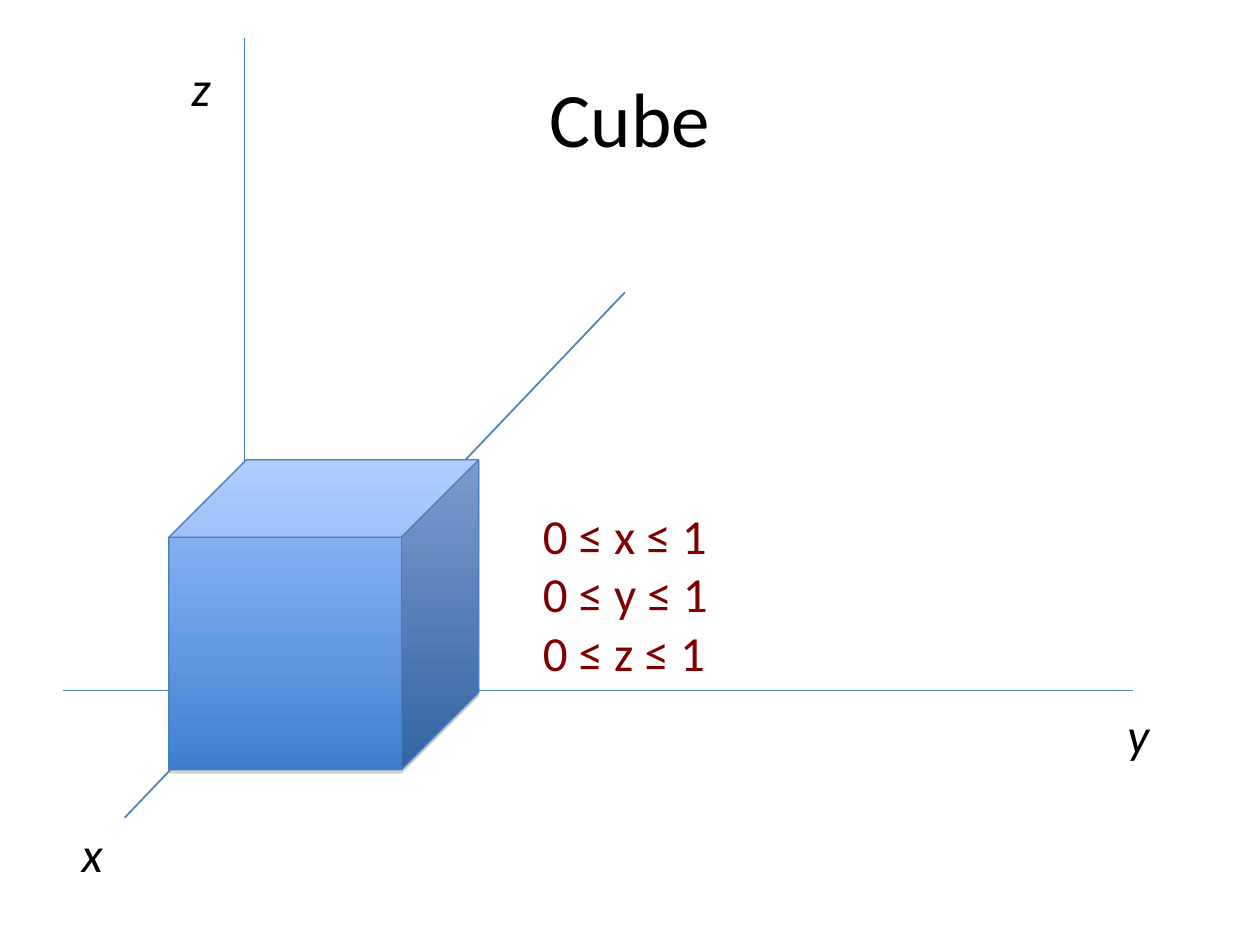
from lxml.etree import SubElement
from pptx import Presentation
from pptx.dml.color import RGBColor
from pptx.enum.shapes import MSO_CONNECTOR, MSO_SHAPE
from pptx.enum.text import MSO_ANCHOR, MSO_AUTO_SIZE, PP_ALIGN
from pptx.oxml.ns import qn
from pptx.util import Inches, Pt

BLACK = RGBColor(0x00, 0x00, 0x00)
MAROON = RGBColor(0x80, 0x00, 0x00)
AXIS_BLUE = RGBColor(0x4F, 0x81, 0xBD)
EDGE_BLUE = RGBColor(0x4A, 0x7E, 0xBB)
LIGHT_BLUE = RGBColor(0x9B, 0xC1, 0xFF)
DEEP_BLUE = RGBColor(0x3F, 0x80, 0xCD)

TITLE = {"size": Pt(44)}
AXIS_LABEL = {"italic": True}
BOUNDS = {"color": MAROON}


class SlideBuilder:
    base_format = {"name": "Calibri", "size": Pt(28)}

    def __init__(self, slide):
        self.shapes = slide.shapes

    def text(self, box, lines, style):
        """Add a left-aligned box, one paragraph a line, that fits its text."""
        frame = self.shapes.add_textbox(*map(Inches, box)).text_frame
        frame.text = "\n".join(lines)
        frame.word_wrap = False
        frame.auto_size = MSO_AUTO_SIZE.SHAPE_TO_FIT_TEXT
        font_format = {**self.base_format, **style}
        color = font_format.pop("color", BLACK)
        for paragraph in frame.paragraphs:
            for attribute, value in font_format.items():
                setattr(paragraph.font, attribute, value)
            paragraph.font.color.rgb = color
        return frame

    def title(self, box, wording):
        frame = self.text(box, [wording], TITLE)
        frame_format = {
            "word_wrap": True,
            "auto_size": MSO_AUTO_SIZE.NONE,
            "vertical_anchor": MSO_ANCHOR.MIDDLE,
        }
        for attribute, value in frame_format.items():
            setattr(frame, attribute, value)
        frame.paragraphs[0].alignment = PP_ALIGN.CENTER

    def axis(self, start, end):
        axis = self.shapes.add_connector(
            MSO_CONNECTOR.STRAIGHT, *map(Inches, (*start, *end)))
        axis.line.color.rgb = AXIS_BLUE
        axis.line.width = Pt(1)
        SubElement(axis._element.spPr, qn("a:effectLst"))

    def cube(self, left, top, side):
        cube = self.shapes.add_shape(
            MSO_SHAPE.CUBE, *map(Inches, (left, top, side, side)))
        cube.adjustments[0] = 0.25
        cube.fill.gradient()
        cube.fill.gradient_angle = 270
        shades = (LIGHT_BLUE, DEEP_BLUE)
        for position, (stop, shade) in enumerate(zip(cube.fill.gradient_stops, shades)):
            stop.position = position
            stop.color.rgb = shade
        cube.line.color.rgb = EDGE_BLUE
        cube.line.width = Pt(0.75)
        self.drop_shadow(cube)

    def drop_shadow(self, shape):
        """Give the shape a sharp grey shadow just below it."""
        shape.shadow.inherit = False
        effects = shape._element.spPr.find(qn("a:effectLst"))
        shadow = SubElement(effects, qn("a:outerShdw"), blurRad="0",
                            dist=str(Pt(1.8)), dir="5400000", rotWithShape="0")
        grey = SubElement(shadow, qn("a:srgbClr"), val="808080")
        SubElement(grey, qn("a:alpha"), val="35000")


def main():
    presentation = Presentation()
    presentation.slide_width = Inches(10)
    presentation.slide_height = Inches(7.5)
    builder = SlideBuilder(presentation.slides.add_slide(presentation.slide_layouts[6]))

    builder.title((0.5, 0.3, 9, 1.25), "Cube")
    axes = [
        ((1.94, 0.3), (1.94, 6.11)),
        ((0.5, 5.48), (8.99, 5.48)),
        ((0.99, 6.49), (4.96, 2.32)),
    ]
    for start, end in axes:
        builder.axis(start, end)
    builder.cube(1.34, 3.65, 2.46)
    builder.text((4.21, 3.96, 1.51, 1.5),
                 ["0 ≤ x ≤ 1", "0 ≤ y ≤ 1", "0 ≤ z ≤ 1"], BOUNDS)
    axis_labels = {
        "z": (1.42, 0.41, 0.35, 0.57),
        "y": (8.85, 5.54, 0.37, 0.57),
        "x": (0.55, 6.49, 0.37, 0.57),
    }
    for letter, box in axis_labels.items():
        builder.text(box, [letter], AXIS_LABEL)

    presentation.save("out.pptx")


if __name__ == "__main__":
    main()
